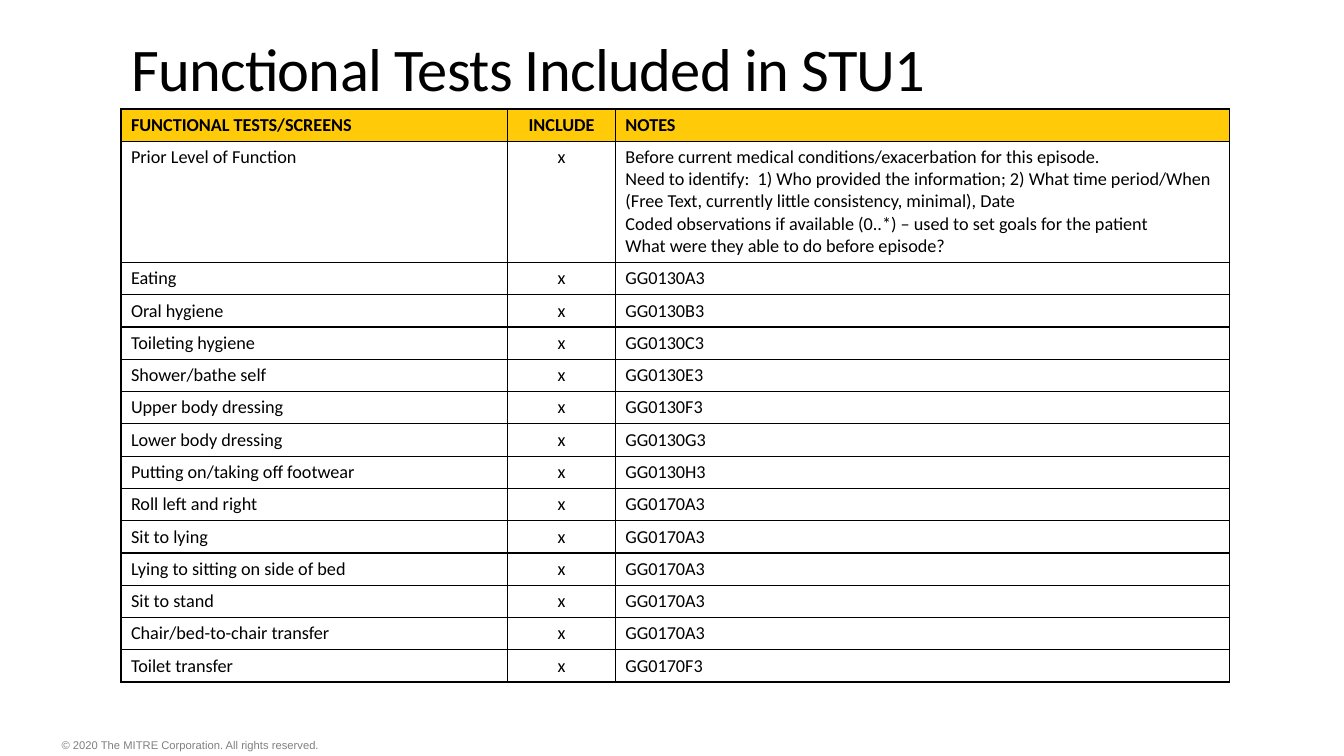
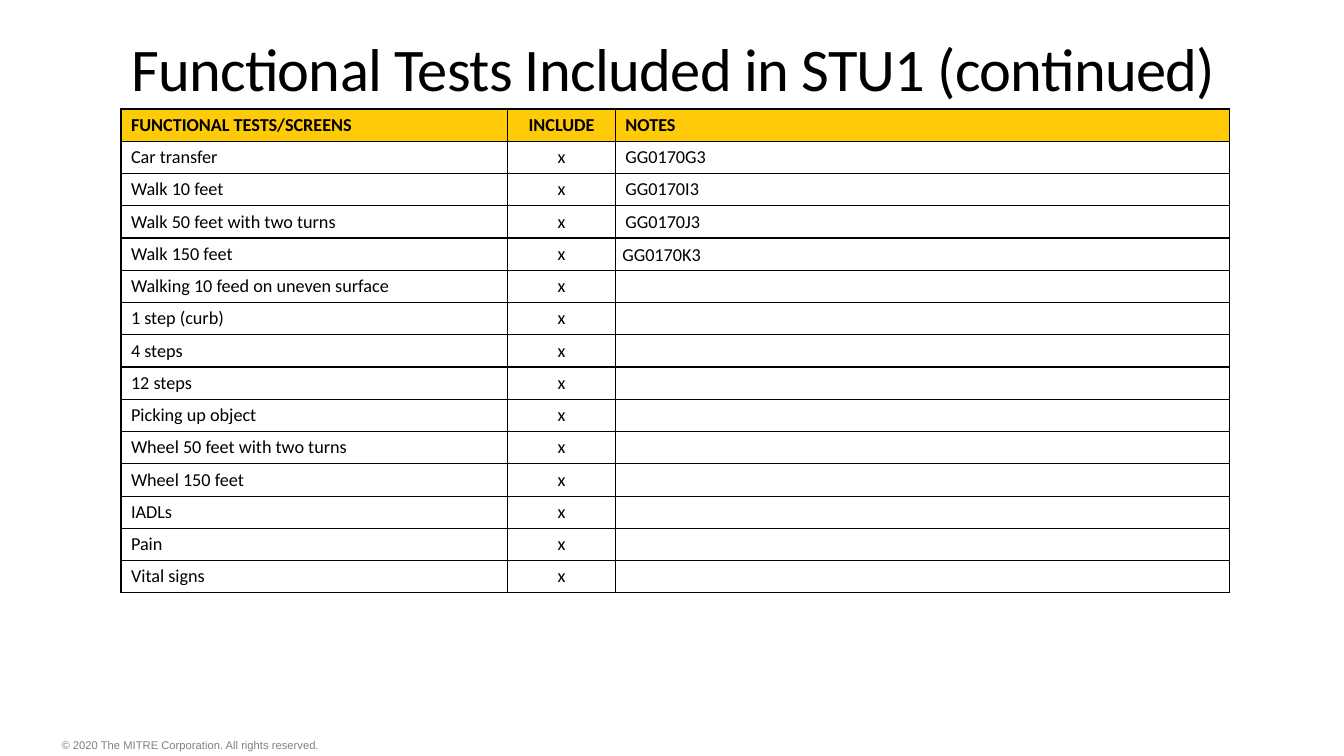
from lxml import etree
from pptx import Presentation
from pptx.dml.color import RGBColor
from pptx.enum import shapes as s
from pptx.enum import text as t
from pptx.oxml import ns
from pptx.util import Pt

BLACK = RGBColor(0x00, 0x00, 0x00)
GRAY = RGBColor(0x80, 0x80, 0x80)
GOLD = RGBColor(0xFF, 0xCA, 0x08)

TITLE = "Functional Tests Included in STU1"
FOOTER = "© 2020 The MITRE Corporation. All rights reserved."
HEADINGS = ("FUNCTIONAL TESTS/SCREENS", "INCLUDE", "NOTES")

PRIOR_LEVEL_NOTES = "\n".join([
    "Before current medical conditions/exacerbation for this episode.",
    "Need to identify:  1) Who provided the information; 2) What time period/When",
    "(Free Text, currently little consistency, minimal), Date",
    "Coded observations if available (0..*) – used to set goals for the patient",
    "What were they able to do before episode?",
])

# Each test with its notes; every test is included
SELF_CARE_AND_TRANSFERS = [
    ("Prior Level of Function", PRIOR_LEVEL_NOTES),
    ("Eating", "GG0130A3"),
    ("Oral hygiene", "GG0130B3"),
    ("Toileting hygiene", "GG0130C3"),
    ("Shower/bathe self", "GG0130E3"),
    ("Upper body dressing", "GG0130F3"),
    ("Lower body dressing", "GG0130G3"),
    ("Putting on/taking off footwear", "GG0130H3"),
    ("Roll left and right", "GG0170A3"),
    ("Sit to lying", "GG0170A3"),
    ("Lying to sitting on side of bed", "GG0170A3"),
    ("Sit to stand", "GG0170A3"),
    ("Chair/bed-to-chair transfer", "GG0170A3"),
    ("Toilet transfer", "GG0170F3"),
]
MOBILITY_AND_OTHER = [
    ("Car transfer", "GG0170G3"),
    ("Walk 10 feet", "GG0170I3"),
    ("Walk 50 feet with two turns", "GG0170J3"),
    ("Walk 150 feet", "GG0170K3"),
    ("Walking 10 feed on uneven surface", ""),
    ("1 step (curb)", ""),
    ("4 steps", ""),
    ("12 steps", ""),
    ("Picking up object", ""),
    ("Wheel 50 feet with two turns", ""),
    ("Wheel 150 feet", ""),
    ("IADLs", ""),
    ("Pain", ""),
    ("Vital signs", ""),
]


class Deck:
    """Holds the shared style and the current slide."""
    left, width = Pt(86.4), Pt(792)
    table_top, row_height = Pt(77.8), Pt(23.07)
    column_widths = (Pt(276.2), Pt(77), Pt(438.8))
    table_size = 13

    def __init__(self):
        self.presentation = Presentation()
        self.presentation.slide_width = Pt(960)
        self.presentation.slide_height = Pt(540)
        self.slide = None

    def style(self, paragraph, size, color=BLACK, name="Calibri", bold=False):
        font = paragraph.font
        font.name, font.size, font.bold = name, Pt(size), bold
        font.color.rgb = color

    def add_slide(self, title):
        layout = self.presentation.slide_layouts.get_by_name("Title Only")
        self.slide = self.presentation.slides.add_slide(layout)
        self.add_title_rule()
        self.add_footer()
        self.add_title(title)

    def add_title_rule(self):
        top = Pt(79.9)
        rule = self.slide.shapes.add_connector(
            s.MSO_CONNECTOR.STRAIGHT, self.left, top, Pt(871.2), top)
        rule.line.color.rgb = GRAY
        rule.line.width = Pt(0.5)
        etree.SubElement(rule._element.spPr, ns.qn("a:effectLst"))

    def add_footer(self):
        box = self.slide.shapes.add_textbox(Pt(44), Pt(524.2), Pt(593.3), Pt(15.8))
        frame = box.text_frame
        frame.word_wrap = True
        frame.vertical_anchor = t.MSO_ANCHOR.MIDDLE
        frame.margin_left = frame.margin_right = 0
        frame.margin_top = frame.margin_bottom = 0
        frame.text = FOOTER
        self.style(frame.paragraphs[0], 8, GRAY, "Arial")

    def add_title(self, title):
        shape = self.slide.shapes.title
        shape.left, shape.top = self.left, Pt(22.3)
        shape.width, shape.height = self.width, Pt(55.4)
        frame = shape.text_frame
        frame.text = title
        frame.word_wrap = True
        frame.auto_size = t.MSO_AUTO_SIZE.NONE
        frame.vertical_anchor = t.MSO_ANCHOR.BOTTOM
        paragraph = frame.paragraphs[0]
        paragraph.alignment = t.PP_ALIGN.LEFT
        paragraph.line_spacing = 0.85
        self.style(paragraph, 43.2)
        # Tighter letter spacing
        paragraph.runs[0]._r.get_or_add_rPr().set("spc", "-50")

    def add_border(self, cell):
        properties = cell._tc.get_or_add_tcPr()
        for side in ("lnL", "lnR", "lnT", "lnB"):
            line = etree.SubElement(properties, ns.qn(f"a:{side}"), w=str(Pt(1)))
            fill = etree.SubElement(line, ns.qn("a:solidFill"))
            etree.SubElement(fill, ns.qn("a:srgbClr"), val=str(BLACK))

    def fill_cell(self, cell, content, header, centered):
        self.add_border(cell)
        if header:
            cell.fill.solid()
            cell.fill.fore_color.rgb = GOLD
        else:
            cell.fill.background()
        cell.text = content
        for paragraph in cell.text_frame.paragraphs:
            if centered:
                paragraph.alignment = t.PP_ALIGN.CENTER
            self.style(paragraph, self.table_size, bold=header)
            if not content:
                # Keeps an empty row as low as the others
                etree.SubElement(paragraph._p, ns.qn("a:endParaRPr"),
                                 sz=str(self.table_size * 100))

    def add_table(self, tests):
        rows = [HEADINGS] + [(test, "x", notes) for test, notes in tests]
        frame = self.slide.shapes.add_table(
            len(rows), len(HEADINGS), self.left, self.table_top,
            self.width, self.row_height * len(rows))
        table = frame.table
        table.horz_banding = False
        for column, width in zip(table.columns, self.column_widths):
            column.width = width
        for row_index, row in enumerate(rows):
            table.rows[row_index].height = self.row_height
            for column_index, content in enumerate(row):
                self.fill_cell(table.cell(row_index, column_index), content,
                               header=row_index == 0, centered=column_index == 1)
        return table


def main():
    deck = Deck()

    # Self-care and transfers, with a tall row for the long notes
    deck.add_slide(TITLE)
    table = deck.add_table(SELF_CARE_AND_TRANSFERS)
    table.rows[1].height = Pt(86.7)

    # Mobility and other tests
    deck.add_slide(f"{TITLE} (continued)")
    table = deck.add_table(MOBILITY_AND_OTHER)

    # The last code sits in a tighter cell
    last_code = table.cell(4, 2)
    last_code.margin_left = last_code.margin_right = Pt(5)
    last_code.margin_top = last_code.margin_bottom = 0
    last_code.vertical_anchor = t.MSO_ANCHOR.MIDDLE
    last_code.text_frame.paragraphs[0].line_spacing = 1.07

    deck.presentation.save("out.pptx")


if __name__ == "__main__":
    main()
